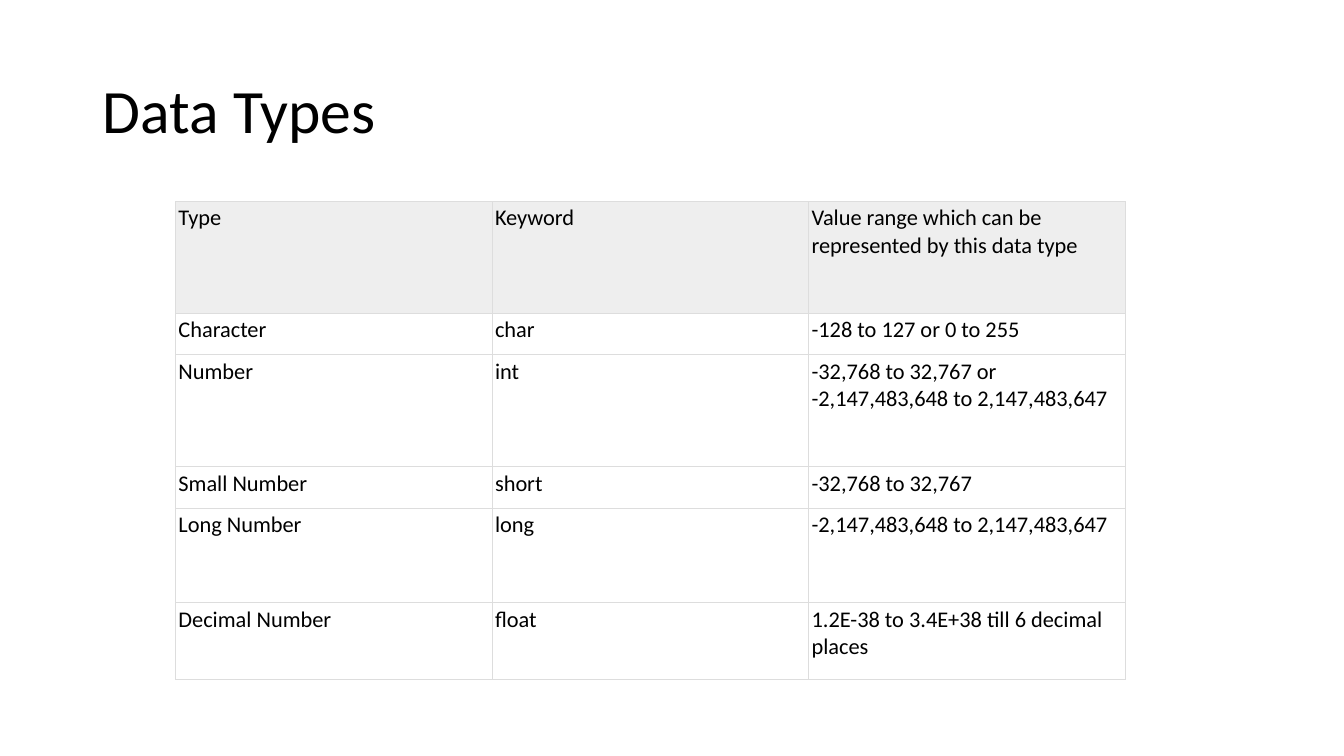
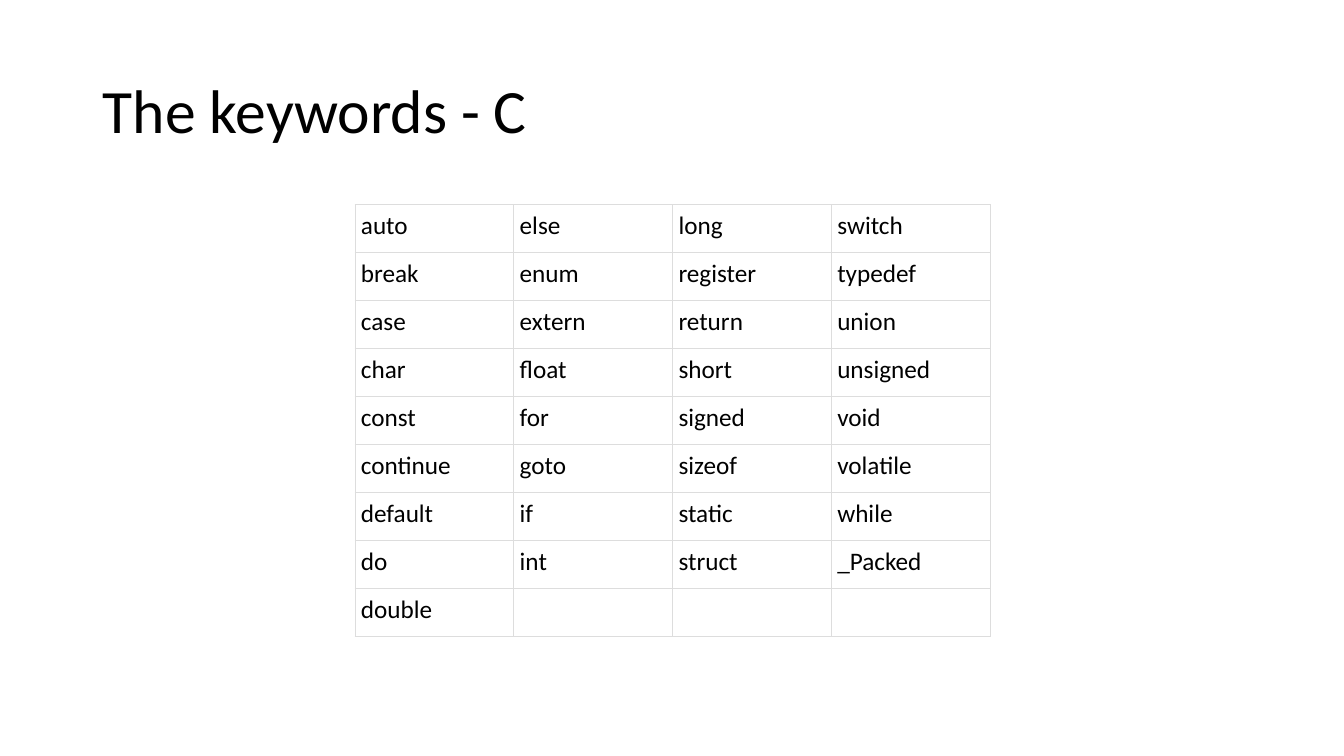
"""Build two slides with tables of C data types and keywords."""
import dataclasses
import itertools

import lxml.etree
import pptx
import pptx.dml.color
import pptx.enum.text
import pptx.oxml.ns
import pptx.util


@dataclasses.dataclass(frozen=True)
class Theme:
    """Hold the colours, font and type sizes of the deck."""
    text: str = "000000"
    paper: str = "FFFFFF"
    header: str = "EEEEEE"
    border: str = "DDDDDD"
    border_width: float = 0.5
    font: str = "Calibri"
    title_size: int = 44
    types_size: int = 16
    keywords_size: int = 18


@dataclasses.dataclass(frozen=True)
class Box:
    """Hold a region of the slide in inches."""
    left: float
    top: float
    width: float
    height: float


THEME = Theme()
SLIDE_WIDTH, SLIDE_HEIGHT = 13.33, 7.5
TITLE_BOX = Box(0.92, 0.4, 11.5, 1.45)
TYPES_BOX = Box(1.74, 2, 9.42, 4.74)
KEYWORDS_BOX = Box(3.52, 2.03, 6.3, 4.29)

DATA_TYPES = [
    ("Type", "Keyword", "Value range which can be represented by this data type"),
    ("Character", "char", "-128 to 127 or 0 to 255"),
    ("Number", "int", "-32,768 to 32,767 or -2,147,483,648 to 2,147,483,647"),
    ("Small Number", "short", "-32,768 to 32,767"),
    ("Long Number", "long", "-2,147,483,648 to 2,147,483,647"),
    ("Decimal Number", "float", "1.2E-38 to 3.4E+38 till 6 decimal places"),
]
TYPE_ROW_WEIGHTS = [1.11, 0.41, 1.11, 0.41, 0.94, 0.76]

KEYWORD_COLUMNS = [
    "auto break case char const continue default do double".split(),
    "else enum extern float for goto if int".split(),
    "long register return short signed sizeof static struct".split(),
    "switch typedef union unsigned void volatile while _Packed".split(),
]


def write_text(frame, text, *, size, color=THEME.text, line_spacing=None):
    """Write one left-aligned paragraph in the theme font."""
    para = frame.paragraphs[0]
    para.alignment = pptx.enum.text.PP_ALIGN.LEFT
    para.line_spacing = line_spacing
    if not text:
        para.font.size = pptx.util.Pt(size)
        return
    span = para.add_run()
    span.text = text
    span.font.name = THEME.font
    span.font.size = pptx.util.Pt(size)
    span.font.color.rgb = pptx.dml.color.RGBColor.from_string(color)


def place(shape, box):
    """Move a shape to a box."""
    for side, length in dataclasses.asdict(box).items():
        setattr(shape, side, pptx.util.Inches(length))


def add_borders(cell):
    """Draw the theme border on the four sides of a cell."""
    properties = cell._tc.get_or_add_tcPr()
    width = str(pptx.util.Pt(THEME.border_width))
    for index, side in enumerate(("a:lnL", "a:lnR", "a:lnT", "a:lnB")):
        line = lxml.etree.Element(pptx.oxml.ns.qn(side), w=width)
        fill = lxml.etree.SubElement(line, pptx.oxml.ns.qn("a:solidFill"))
        lxml.etree.SubElement(fill, pptx.oxml.ns.qn("a:srgbClr"), val=THEME.border)
        properties.insert(index, line)


def format_cell(cell, text, *, size, margin, fill):
    """Fill one cell with its text, colour, margins and borders."""
    for side in ("left", "right", "top", "bottom"):
        setattr(cell, f"margin_{side}", pptx.util.Inches(margin))
    cell.fill.solid()
    cell.fill.fore_color.rgb = pptx.dml.color.RGBColor.from_string(fill)
    write_text(cell.text_frame, text, size=size)
    add_borders(cell)


def add_grid(page, box, rows, *, weights, size, margin, header_fill=THEME.paper):
    """Add a table with equal columns and weighted rows inside a box."""
    lengths = [pptx.util.Inches(length) for length in dataclasses.astuple(box)]
    table = page.shapes.add_table(len(rows), len(rows[0]), *lengths).table
    table.first_row = table.horz_banding = False
    for row, weight in zip(table.rows, weights):
        row.height = pptx.util.Inches(box.height * weight / sum(weights))
    for row_index, values in enumerate(rows):
        fill = THEME.paper if row_index else header_fill
        for column_index, text in enumerate(values):
            format_cell(table.cell(row_index, column_index), text,
                        size=size, margin=margin, fill=fill)


def prepare_layout(deck):
    """Set the shared title place on the title-only layout."""
    layout = deck.slide_layouts.get_by_name("Title Only")
    title = next(shape for shape in layout.placeholders
                 if shape.placeholder_format.idx == 0)
    place(title, TITLE_BOX)
    title.text_frame.vertical_anchor = pptx.enum.text.MSO_ANCHOR.MIDDLE
    return layout


def add_page(deck, layout, title):
    """Add a slide with its title."""
    page = deck.slides.add_slide(layout)
    write_text(page.shapes.title.text_frame, title,
               size=THEME.title_size, line_spacing=0.9)
    return page


def build_data_types(deck, layout):
    """Build the slide of data types."""
    page = add_page(deck, layout, "Data Types")
    add_grid(page, TYPES_BOX, DATA_TYPES, weights=TYPE_ROW_WEIGHTS,
             size=THEME.types_size, margin=0.03, header_fill=THEME.header)


def build_keywords(deck, layout):
    """Build the slide of keywords."""
    page = add_page(deck, layout, "The keywords - C")
    rows = list(itertools.zip_longest(*KEYWORD_COLUMNS, fillvalue=""))
    add_grid(page, KEYWORDS_BOX, rows, weights=[1] * len(rows),
             size=THEME.keywords_size, margin=0.06)


def main():
    """Build and save the deck."""
    deck = pptx.Presentation()
    deck.slide_width = pptx.util.Inches(SLIDE_WIDTH)
    deck.slide_height = pptx.util.Inches(SLIDE_HEIGHT)
    layout = prepare_layout(deck)
    build_data_types(deck, layout)
    build_keywords(deck, layout)
    deck.save("out.pptx")


if __name__ == "__main__":
    main()
